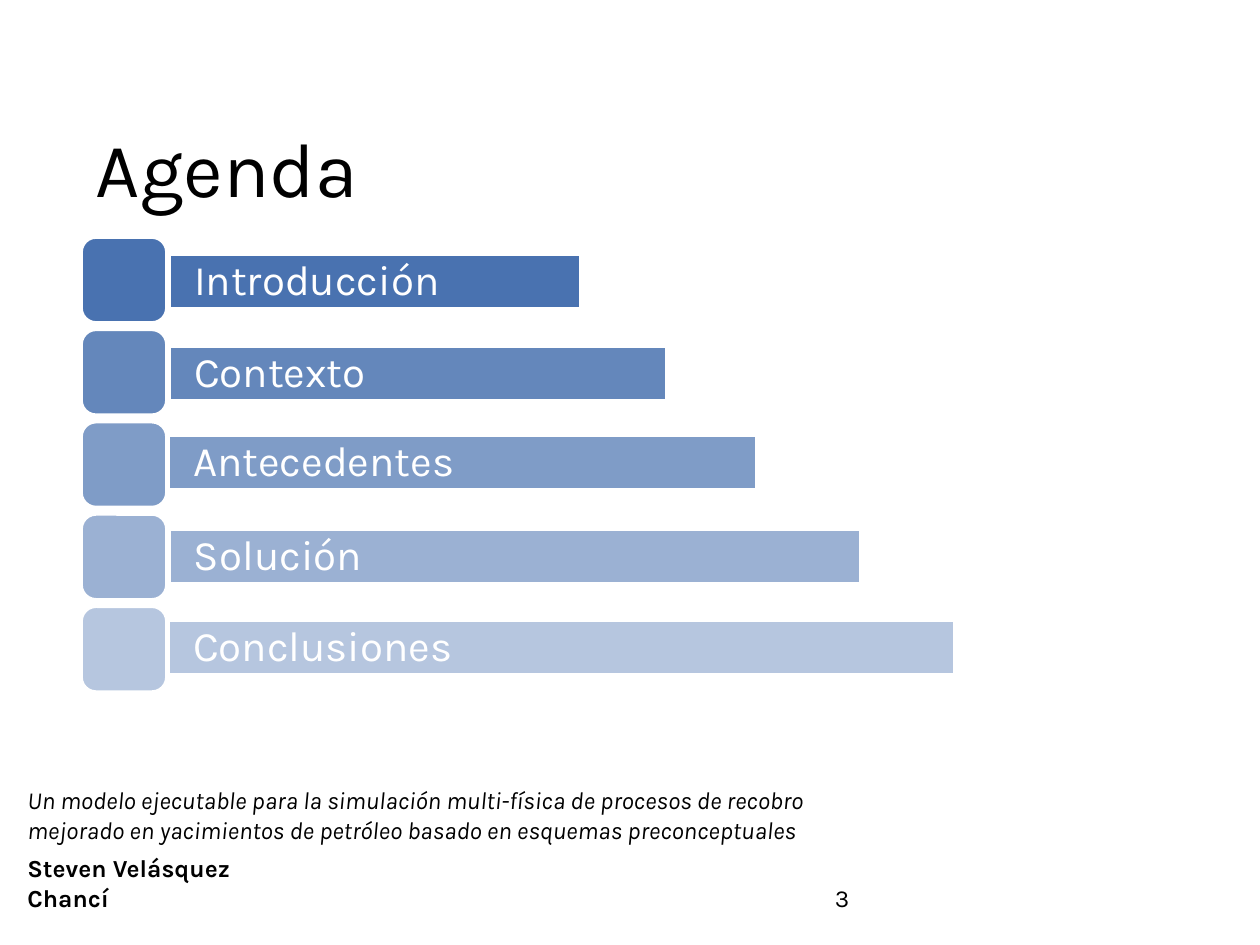
from lxml.etree import SubElement
from pptx import Presentation
from pptx.dml.color import RGBColor
from pptx.enum.shapes import MSO_SHAPE
from pptx.enum.text import MSO_ANCHOR, PP_ALIGN
from pptx.oxml.ns import qn
from pptx.util import Pt

SCALE = 914400 / 126
FONT = "Karla"
BLUE = "4972B0"
WHITE = "FFFFFF"
BLACK = "000000"
TOPICS = [
    ("Introducción", 170, 255, 410),
    ("Contexto", 170, 347, 496),
    ("Antecedentes", 169, 436, 587),
    ("Solución", 170, 530, 690),
    ("Conclusiones", 169, 621, 785),
]


def px(n):
    return round(n * SCALE)


def rgb(color):
    return RGBColor.from_string(color)


def set_text(sp, text, size, color, align=PP_ALIGN.LEFT, bold=False, italic=False):
    tf = sp.text_frame
    tf.word_wrap = True
    p = tf.paragraphs[0]
    p.text = text
    p.alignment = align
    p.font.name = FONT
    p.font.size = Pt(size)
    p.font.color.rgb = rgb(color)
    p.font.bold = bold
    p.font.italic = italic
    return tf


def add_box(s, kind, x, y, w, h, color, opacity=100):
    sp = s.shapes.add_shape(kind, px(x), px(y), px(w), px(h))
    sp.shadow.inherit = False
    sp.fill.solid()
    sp.fill.fore_color.rgb = rgb(color)
    if opacity < 100:
        clr = sp.fill._xPr.find(qn("a:solidFill"))[0]
        SubElement(clr, qn("a:alpha"), val=str(opacity * 1000))
    sp.line.color.rgb = rgb(WHITE)
    sp.line.width = Pt(1)
    return sp


def add_label(s, x, y, w, h, color, text, size, text_color, inset, opacity=100):
    sp = add_box(s, MSO_SHAPE.RECTANGLE, x, y, w, h, color, opacity)
    tf = set_text(sp, text, size, text_color)
    tf.vertical_anchor = MSO_ANCHOR.MIDDLE
    tf.margin_left = tf.margin_right = px(inset)
    tf.margin_top = tf.margin_bottom = 0
    tf.paragraphs[0].line_spacing = 0.9


def add_note(s, x, y, w, h, text, **style):
    sp = s.shapes.add_textbox(px(x), px(y), px(w), px(h))
    set_text(sp, text, 14, BLACK, **style)


def add_topic(s, i, text, x, y, w):
    opacity = 100 - 15 * i
    sp = add_box(s, MSO_SHAPE.ROUNDED_RECTANGLE, 82, 238 + 92.3 * i, 84, 84, BLUE, opacity)
    sp.adjustments[0] = 0.167
    add_label(s, x, y, w, 53, BLUE, text, 24, WHITE, 24, opacity)


def main():
    prs = Presentation()
    prs.slide_width, prs.slide_height = px(1260), px(945)
    s = prs.slides.add_slide(prs.slide_layouts[6])
    add_note(s, 15, 847, 291, 34, "Steven Velásquez Chancí", bold=True)
    add_note(s, 788, 877, 108, 50, "3", align=PP_ALIGN.CENTER)
    add_note(s, 15, 779, 881, 68,
             "Un modelo ejecutable para la simulación multi-física de procesos de recobro "
             "mejorado en yacimientos de petróleo basado en esquemas preconceptuales",
             italic=True)
    add_label(s, 84, 131, 873, 84, WHITE, "Agenda", 44, BLACK, 12)
    for i, topic in enumerate(TOPICS):
        add_topic(s, i, *topic)
    prs.save("out.pptx")


if __name__ == "__main__":
    main()
